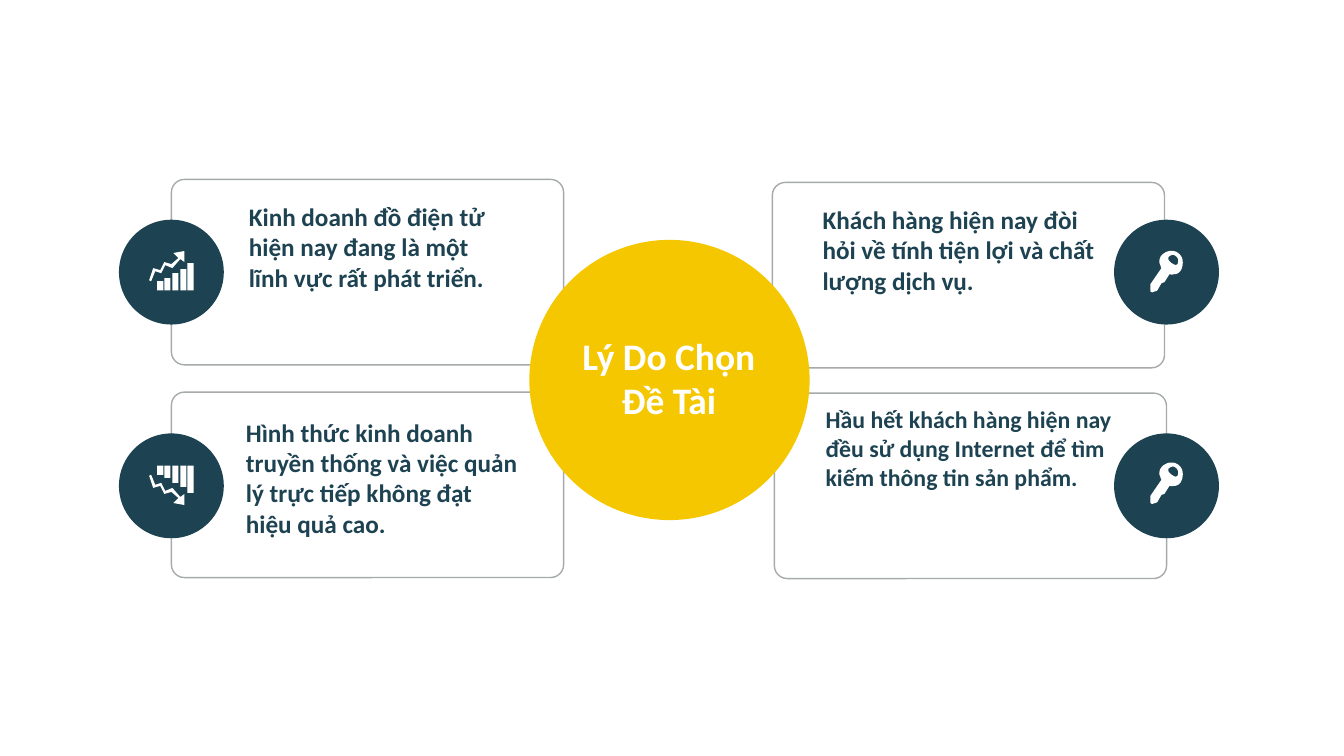
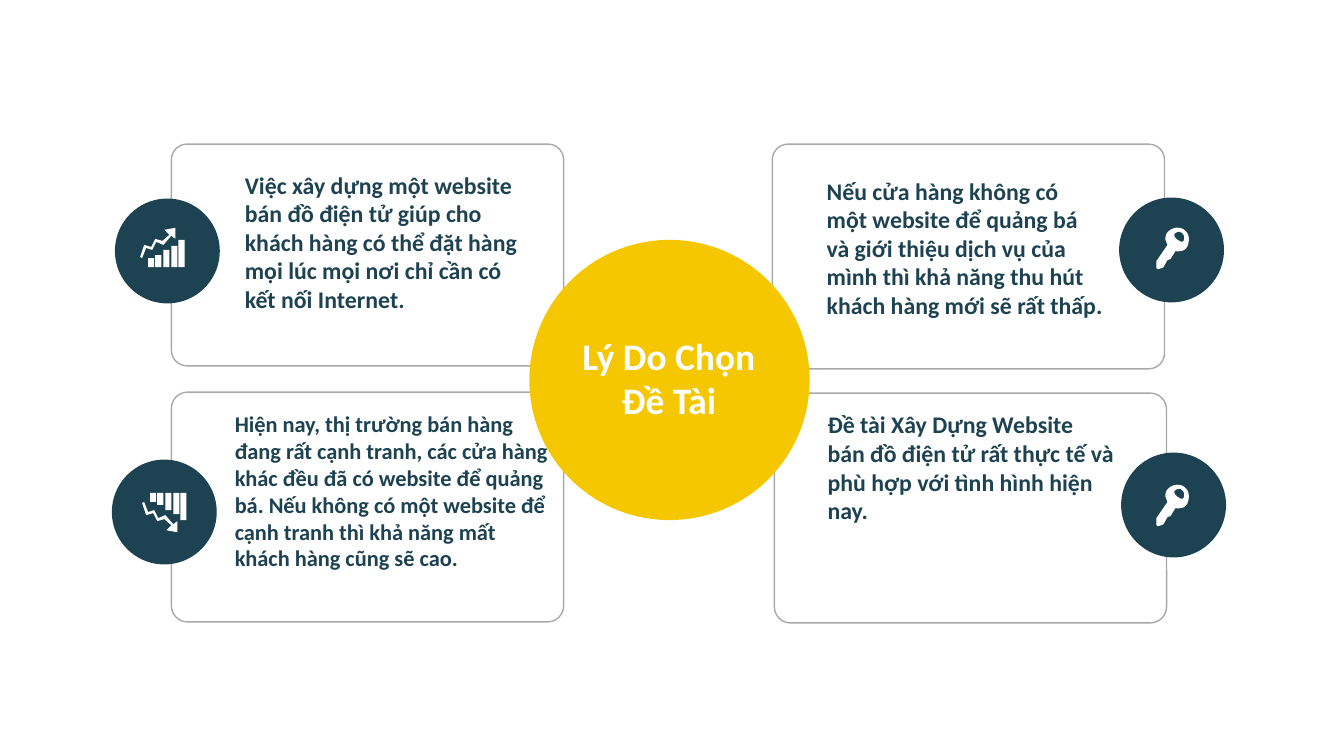
from collections import namedtuple

from pptx import Presentation
from pptx import util as u
from pptx.dml.color import RGBColor
from pptx.enum import shapes, text

PX = 9144
FINE = 10
FONT = "Calibri"
NAVY, YELLOW, WHITE, GRAY = "1D4251", "F5C700", "FFFFFF", "A6AAA9"
HUB_TITLE = "Lý Do Chọn Đề Tài"
BADGE_SIZE = 104
CHART_HEIGHT = 39

ARROW = [(16, 14), (23, 17), (30, 9), (31, 8), (35, 11), (35, 0), (24, 2),
         (29, 7), (22, 13), (15, 11), (11, 19), (4, 17), (0, 29), (2, 30),
         (6, 20), (12, 22)]
BARS = [(8, 30), (15, 27), (23, 22), (31, 18), (38, 12)]
BAR_WIDTH = 6

KEY_OUTLINE = [
    [(32, 9)],
    [(31, 3), (25, -1), (19, 0)],
    [(13, 1), (8, 6), (9, 12)],
    [(10, 13), (10, 16), (11, 17)],
    [(0, 33)],
    [(0, 40)],
    [(0, 40), (1, 41), (2, 41)],
    [(5, 40)],
    [(6, 40), (7, 39), (7, 39)],
    [(11, 32)],
    [(14, 31)],
    [(19, 23)],
    [(21, 24), (23, 23), (25, 23)],
    [(30, 22), (33, 16), (32, 9)],
]
KEY_HOLE = [
    [(27, 13)],
    [(25, 15), (23, 13), (21, 12)],
    [(19, 10), (17, 9), (18, 6)],
    [(20, 4), (23, 3), (25, 5)],
    [(28, 7), (28, 10), (27, 13)],
]

Reason = namedtuple("Reason", "card badge icon icon_at text_at size words")


def px(value):
    return u.Emu(value * PX)


def color(value):
    return RGBColor.from_string(value)


def add_shape(page, kind, left, top, width, height, fill=None, line=None):
    shape = page.shapes.add_shape(kind, px(left), px(top), px(width), px(height))
    paint(shape, fill, line)
    return shape


def paint(shape, fill=None, line=None):
    shape.shadow.inherit = False
    if fill:
        shape.fill.solid()
        shape.fill.fore_color.rgb = color(fill)
    else:
        shape.fill.background()
    if line:
        shape.line.color.rgb = color(line)
        shape.line.width = u.Pt(1)
    else:
        shape.line.fill.background()


def add_card(page, area):
    card = add_shape(page, shapes.MSO_SHAPE.ROUNDED_RECTANGLE, *area, line=GRAY)
    card.adjustments[0] = 0.07


def add_circle(page, left, top, size, fill):
    add_shape(page, shapes.MSO_SHAPE.OVAL, left, top, size, size, fill)


def add_text(page, area, words, size, ink):
    left, top, width, height = area
    box = page.shapes.add_textbox(px(left), px(top), px(width), px(height))
    box.text_frame.word_wrap = True
    para = box.text_frame.paragraphs[0]
    span = para.add_run()
    span.text = words
    span.font.name = FONT
    span.font.size = u.Pt(size)
    span.font.bold = True
    span.font.color.rgb = color(ink)
    return box.text_frame, para


def add_hub(page):
    add_circle(page, 525, 238, 278, YELLOW)
    frame, para = add_text(page, (566, 340, 195, 69), HUB_TITLE, 26.7, WHITE)
    frame.margin_left = frame.margin_right = 0
    frame.margin_top = frame.margin_bottom = 0
    frame.vertical_anchor = text.MSO_ANCHOR.MIDDLE
    para.alignment = text.PP_ALIGN.CENTER
    para.space_before = u.Pt(10)


def add_outline(page, at, contours):
    fine = [[(x * FINE, y * FINE) for x, y in contour] for contour in contours]
    builder = page.shapes.build_freeform(*fine[0][0], scale=PX / FINE)
    for index, contour in enumerate(fine):
        if index:
            builder.move_to(*contour[0])
        builder.add_line_segments(contour[1:], close=True)
    paint(builder.convert_to_shape(px(at[0]), px(at[1])), WHITE)


def flatten(segments, steps=8):
    points = []
    for segment in segments:
        if len(segment) == 1:
            points += segment
            continue
        controls = [points[-1], *segment]
        for step in range(1, steps + 1):
            t = step / steps
            weights = ((1 - t) ** 3, 3 * t * (1 - t) ** 2, 3 * t * t * (1 - t), t ** 3)
            points.append(tuple(sum(w * c[axis] for w, c in zip(weights, controls))
                                for axis in (0, 1)))
    return points


def chart_contours():
    bars = [[(left, top), (left + BAR_WIDTH, top),
             (left + BAR_WIDTH, CHART_HEIGHT), (left, CHART_HEIGHT)]
            for left, top in BARS]
    return [ARROW, *bars]


def add_rise(page, at):
    add_outline(page, at, chart_contours())


def add_fall(page, at):
    add_outline(page, at, [[(x, CHART_HEIGHT - y) for x, y in contour]
                           for contour in chart_contours()])


def add_key(page, at):
    add_outline(page, at, [flatten(KEY_OUTLINE), flatten(KEY_HOLE)])


FIRST_REASONS = [
    Reason((766, 181, 389, 184), (1105, 218), add_key, (1141, 249),
           (806, 198, 295, 101), 18,
           "Khách hàng hiện nay đòi hỏi về tính tiện lợi và chất lượng dịch vụ."),
    Reason((768, 390, 389, 184), (1105, 430), add_key, (1141, 459),
           (809, 397, 304, 96), 17,
           "Hầu hết khách hàng hiện nay đều sử dụng Internet để tìm kiếm thông tin sản phẩm."),
    Reason((170, 389, 389, 184), (118, 430), add_fall, (148, 462),
           (234, 409, 295, 131), 18,
           "Hình thức kinh doanh truyền thống và việc quản lý trực tiếp không đạt hiệu quả cao."),
    Reason((170, 178, 389, 184), (118, 218), add_rise, (148, 249),
           (237, 195, 264, 101), 18,
           "Kinh doanh đồ điện tử hiện nay đang là một lĩnh vực rất phát triển."),
]
SECOND_REASONS = [
    Reason((766, 143, 389, 223), (1110, 196), add_key, (1147, 226),
           (810, 170, 295, 153), 17,
           "Nếu cửa hàng không có một website để quảng bá và giới thiệu dịch vụ "
           "của mình thì khả năng thu hút khách hàng mới sẽ rất thấp."),
    Reason((768, 390, 389, 228), (1112, 449), add_key, (1147, 481),
           (811, 402, 304, 125), 17,
           "Đề tài Xây Dựng Website bán đồ điện tử rất thực tế và phù hợp với "
           "tình hình hiện nay."),
    Reason((170, 389, 389, 228), (111, 456), add_fall, (141, 489),
           (223, 402, 332, 172), 16,
           "Hiện nay, thị trường bán hàng đang rất cạnh tranh, các cửa hàng khác "
           "đều đã có website để quảng bá. Nếu không có một website để cạnh tranh "
           "thì khả năng mất khách hàng cũng sẽ cao."),
    Reason((170, 143, 389, 220), (114, 197), add_rise, (139, 226),
           (233, 164, 299, 153), 17,
           "Việc xây dựng một website bán đồ điện tử giúp cho khách hàng có thể "
           "đặt hàng mọi lúc mọi nơi chỉ cần có kết nối Internet."),
]


def add_reasons_page(deck, reasons):
    page = deck.slides.add_slide(deck.slide_layouts[6])
    for reason in reasons:
        add_card(page, reason.card)
    add_hub(page)
    for reason in reasons:
        add_circle(page, *reason.badge, BADGE_SIZE, NAVY)
        reason.icon(page, reason.icon_at)
        frame, _ = add_text(page, reason.text_at, reason.words, reason.size, NAVY)
        frame.auto_size = text.MSO_AUTO_SIZE.SHAPE_TO_FIT_TEXT


def main():
    deck = Presentation()
    deck.slide_width, deck.slide_height = px(1333), px(750)
    for reasons in (FIRST_REASONS, SECOND_REASONS):
        add_reasons_page(deck, reasons)
    deck.save("out.pptx")


if __name__ == "__main__":
    main()
